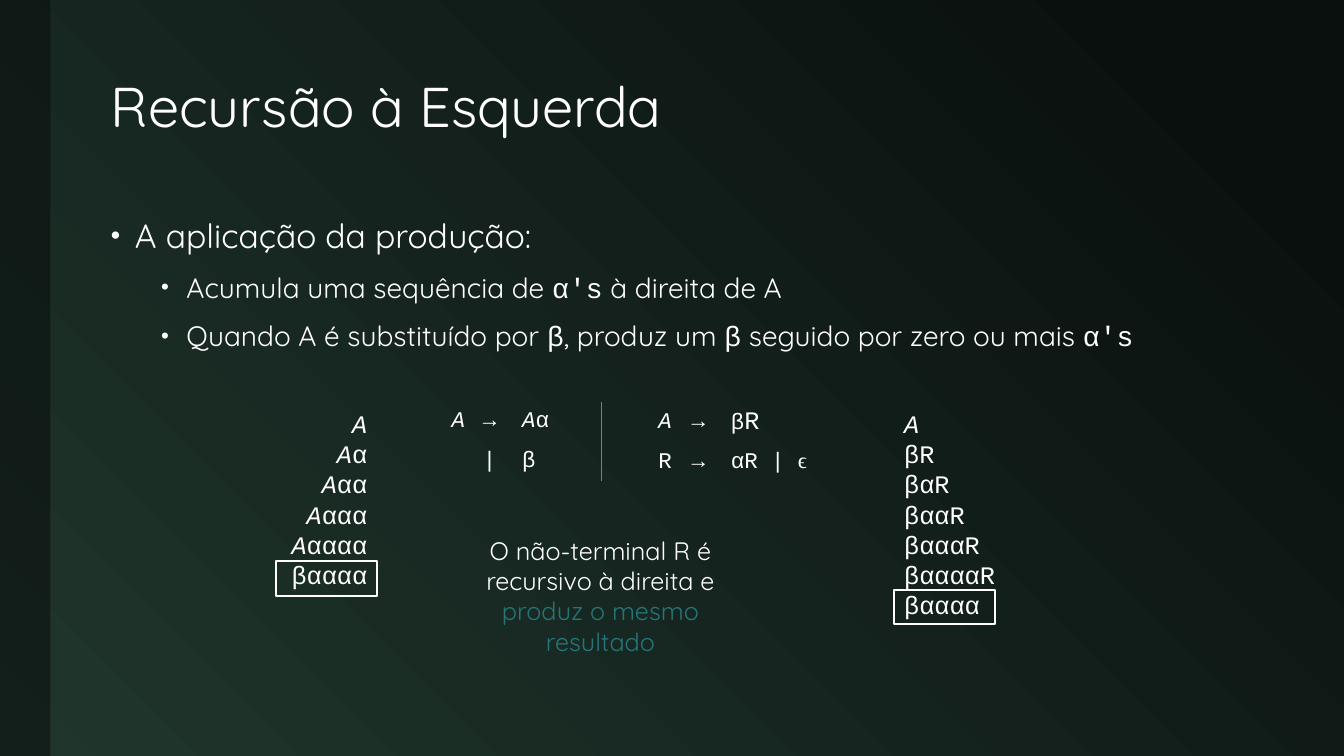
"""Build a slide on left recursion, with two grammars and their derivations."""
from itertools import groupby

from lxml.etree import SubElement
from pptx import Presentation
from pptx.dml.color import RGBColor
from pptx.enum.shapes import MSO_CONNECTOR, MSO_SHAPE
from pptx.enum.text import MSO_ANCHOR as Anchor, MSO_AUTO_SIZE as AutoSize, PP_ALIGN as Align
from pptx.oxml.ns import qn
from pptx.util import Inches, Pt

WHITE = RGBColor(0xFF, 0xFF, 0xFF)
DARK = RGBColor(0x0A, 0x10, 0x0E)
GREEN = RGBColor(0x20, 0x36, 0x2D)
TEAL = RGBColor(0x26, 0x75, 0x77)
CYAN = RGBColor(0x33, 0x9C, 0x9F)
SANS, CODE, SERIF = "Quicksand", "Courier New", "Times New Roman"
PLAIN_TABLE = "{2D5ABB26-0587-4C30-8999-92F81FD0307C}"

MONO = {"name": CODE}
TITLE = "Recursão à Esquerda"
BULLETS = [
    (24, 0.24, 0.24, 0, [("A aplicação da produção:", {})]),
    (20, 0.75, 0.25, 6, [("Acumula uma sequência de ", {}), ("α's", MONO),
                         (" à direita de A", {})]),
    (20, 0.75, 0.25, 6, [("Quando A é substituído por ", {}), ("β", MONO),
                         (", produz um ", {}), ("β", MONO),
                         (" seguido por zero ou mais ", {}), ("α's", MONO)]),
]
GRAMMARS = [
    (4.38, 3.99, [0.31, 0.39, 0.82],
     [["A", "→", "Aα"], ["", "|", "β"]]),
    (6.43, 4, [0.33, 0.39, 1.26],
     [["A", "→", "βR"], ["R", "→", "αR | ϵ"]]),
]
CELL_FORMATS = {"βR": [("β", {}), ("R", {"size": Pt(18)})],
                "αR | ϵ": [("αR | ", {}), ("ϵ", {"name": SERIF})]}
ROW = 0.39
RESULT = "β" + "α" * 4
DERIVATIONS = [
    (2.1, 1.92, Align.RIGHT, 2.74, 5.57,
     ["A" + "α" * count for count in range(5)] + [RESULT]),
    (8.87, 2.22, Align.LEFT, 8.87, 5.85,
     ["A"] + ["β" + "α" * count + "R" for count in range(5)] + [RESULT]),
]
REMARK = [("O não-terminal R é recursivo à direita e ", {}),
          ("produz o mesmo resultado", {"color": TEAL})]


def code_spans(text):
    """Split code so that the symbol A is italic."""
    return [("".join(part), {"italic": is_start})
            for is_start, part in groupby(text, lambda symbol: symbol == "A")]


def write(para, spans, **base):
    """Add formatted spans to a paragraph."""
    for text, changes in spans:
        span = para.add_run()
        span.text = text
        formats = {"color": WHITE, **base, **changes}
        span.font.color.rgb = formats.pop("color")
        for key, value in formats.items():
            setattr(span.font, key, value)


def add_text(shapes, left, top, width, height):
    """Add a wrapping text box and return its frame."""
    frame = shapes.add_textbox(*map(Inches, (left, top, width, height))).text_frame
    frame.word_wrap = True
    return frame


def next_para(frame, index):
    """Return the first paragraph, or a new one."""
    return frame.add_paragraph() if index else frame.paragraphs[0]


def add_bullets(shapes):
    """Add the bulleted text."""
    frame = add_text(shapes, 1, 2, 11.65, 4.83)
    for index, (size, margin, hang, before, spans) in enumerate(BULLETS):
        para = next_para(frame, index)
        props = para._p.get_or_add_pPr()
        props.set("marL", str(Inches(margin)))
        props.set("indent", str(-Inches(hang)))
        SubElement(props, qn("a:buSzPct"), val="80000")
        SubElement(props, qn("a:buFont"), typeface="Arial")
        SubElement(props, qn("a:buChar"), char="•")
        para.line_spacing = 1.2
        para.space_before = Pt(before)
        write(para, spans, name=SANS, size=Pt(size))


def add_grammar(shapes, left, top, widths, rows):
    """Add one grammar as a plain table."""
    table = shapes.add_table(len(rows), len(widths), *map(
        Inches, (left, top, sum(widths), ROW * len(rows)))).table
    table.first_row = table.horz_banding = False
    table._tbl.tblPr.find(qn("a:tableStyleId")).text = PLAIN_TABLE
    for column, width in zip(table.columns, widths):
        column.width = Inches(width)
    for row_index, row in enumerate(rows):
        table.rows[row_index].height = Inches(ROW)
        for column_index, text in enumerate(row):
            cell = table.cell(row_index, column_index)
            cell.fill.background()
            cell.vertical_anchor = Anchor.MIDDLE
            cell.margin_top = cell.margin_bottom = 0
            para = cell.text_frame.paragraphs[0]
            para.font.size = Pt(16)
            write(para, CELL_FORMATS.get(text, code_spans(text)), name=CODE, size=Pt(16))


def add_derivation(shapes, left, height, align, box_left, box_top, lines):
    """Add a derivation with its framed result."""
    group = shapes.add_group_shape()
    frame = add_text(group.shapes, left, 4, 1.64, height)
    for index, line in enumerate(lines):
        para = next_para(frame, index)
        para.alignment = align
        write(para, code_spans(line), name=CODE, size=Pt(18))
    box = group.shapes.add_shape(MSO_SHAPE.RECTANGLE, *map(Inches, (box_left, box_top, 1, 0.34)))
    box.shadow.inherit = False
    box.fill.background()
    box.line.color.rgb = WHITE
    box.line.width = Pt(1.5)


def main():
    """Build and save the deck."""
    deck = Presentation()
    deck.slide_width, deck.slide_height = Inches(13.33), Inches(7.5)
    page = deck.slides.add_slide(deck.slide_layouts[5])
    shapes = page.shapes

    backdrop = page.background.fill
    backdrop.gradient()
    backdrop.gradient_angle = 225
    for stop, (position, color) in zip(backdrop.gradient_stops, [(0.1, DARK), (1, GREEN)]):
        stop.position = position
        stop.color.rgb = color

    bar = shapes.add_shape(MSO_SHAPE.RECTANGLE, 0, 0, Inches(0.5), deck.slide_height)
    bar.shadow.inherit = False
    bar.fill.solid()
    bar.fill.fore_color.rgb = DARK
    SubElement(bar._element.spPr.find(".//" + qn("a:srgbClr")), qn("a:alpha"), val="60000")
    bar.line.fill.background()

    title = shapes.title
    title.left, title.top, title.width, title.height = map(Inches, (1, 0.42, 11.65, 1.33))
    title.text_frame.auto_size = AutoSize.NONE
    title.text_frame.vertical_anchor = Anchor.MIDDLE
    heading = title.text_frame.paragraphs[0]
    heading.alignment = Align.LEFT
    heading.line_spacing = 0.9
    write(heading, [(TITLE, {})], name=SANS, size=Pt(40))

    add_bullets(shapes)
    for grammar in GRAMMARS:
        add_grammar(shapes, *grammar)
    divider = shapes.add_connector(MSO_CONNECTOR.STRAIGHT, *map(
        Inches, (5.96, 3.99, 5.96, 3.99 + 2 * ROW)))
    divider.line.color.rgb = CYAN
    divider.line.width = Pt(0.5)
    SubElement(divider._element.spPr, qn("a:effectLst"))
    for derivation in DERIVATIONS:
        add_derivation(shapes, *derivation)

    remark = add_text(shapes, 4.5, 5.26, 2.91, 1.31).paragraphs[0]
    remark.alignment = Align.CENTER
    write(remark, REMARK, name=SANS, size=Pt(18))
    deck.save("out.pptx")


if __name__ == "__main__":
    main()
